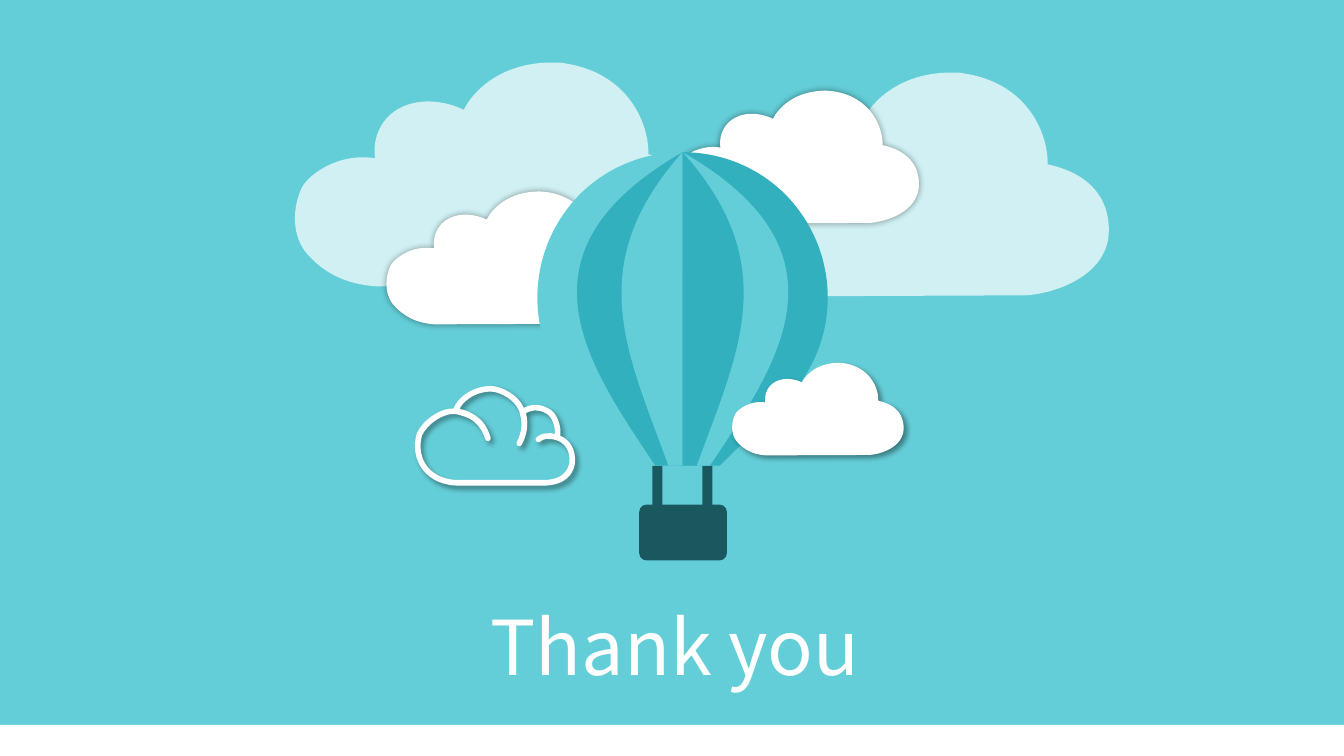
from lxml import etree
from pptx import Presentation
from pptx.dml.color import RGBColor
from pptx.enum.shapes import MSO_SHAPE
from pptx.enum.text import MSO_ANCHOR, PP_ALIGN
from pptx.oxml.ns import qn
from pptx.util import Inches, Pt

RECTANGLE = MSO_SHAPE.RECTANGLE
ROUNDED = MSO_SHAPE.ROUNDED_RECTANGLE
MIDDLE = MSO_ANCHOR.MIDDLE
CENTER = PP_ALIGN.CENTER

WIDTH, HEIGHT = 13.33, 7.5
FONT = "Noto Sans CJK KR"
COLORS = {"sky": "64CED8", "white": "FFFFFF", "stripe": "32B0BE",
          "basket": "19585F", "shadow": "000000"}

# Outlines: a start point, then lines (2 numbers) or cubic curves (6 numbers)
CLOUD_GRID = (411, 222)
CLOUD = [
    (258, 0), (262, 0, 265, 0, 269, 1), (333, 11, 352, 63, 351, 91),
    (411, 104, 414, 146, 411, 166), (403, 208, 347, 221, 327, 221),
    (81, 222), (50, 220, 28, 208, 11, 188), (-5, 167, 0, 138, 8, 123),
    (14, 112, 43, 89, 80, 95), (77, 74, 87, 54, 105, 45),
    (126, 34, 152, 39, 168, 47), (176, 30, 204, -1, 258, 0),
]
LINE_CLOUD_GRID = (153, 93)
LINE_CLOUD = [
    (43, 93), (127, 93), (150, 92, 156, 77, 153, 64),
    (149, 46, 127, 43, 120, 50), (123, 46, 133, 46, 138, 48),
    (141, 44, 138, 29, 132, 24), (126, 19, 115, 15, 104, 23),
    (107, 31, 107, 43, 101, 54), (110, 38, 110, 11, 80, 1),
    (65, -4, 42, 7, 38, 22), (50, 25, 64, 28, 70, 49),
    (66, 36, 56, 24, 38, 22), (23, 21, 7, 34, 2, 45),
    (-5, 69, 10, 94, 43, 93),
]
# Half balloon panels: width, then outline from the vertical axis outwards
PANEL_HEIGHT = 311
HALF_PANELS = [
    (144, [(0, 0), (0, 311), (37, 311), (102, 246),
           (158, 190, 158, 99, 102, 42), (74, 14, 37, 0, 0, 0)]),
    (105, [(0, 0), (0, 311), (27, 311), (96, 208, 172, 99, 0, 0)]),
    (61, [(0, 0), (0, 311), (14, 311), (54, 200, 101, 113, 0, 0)]),
]


def color(name):
    return RGBColor.from_string(COLORS[name])


def paint(shape, fill=None, opacity=100, line=None, shadow=None):
    """Set fill, line and shadow; shadow is (blur, distance, angle)."""
    if fill:
        shape.fill.solid()
        shape.fill.fore_color.rgb = color(fill)
        if opacity < 100:
            tone = shape._element.spPr.find(qn("a:solidFill"))[0]
            etree.SubElement(tone, qn("a:alpha"), val=str(opacity * 1000))
    else:
        shape.fill.background()
    if line:
        shape.line.color.rgb = color("white")
        shape.line.width = Pt(line)
    else:
        shape.line.fill.background()
    shape.shadow.inherit = False
    if shadow:
        blur, distance, angle = shadow
        effects = shape._element.spPr.find(qn("a:effectLst"))
        outer = etree.SubElement(
            effects, qn("a:outerShdw"), blurRad=str(Pt(blur)), dist=str(Pt(distance)),
            dir=str(angle * 60000), algn="ctr", rotWithShape="0")
        tone = etree.SubElement(outer, qn("a:srgbClr"), val=COLORS["shadow"])
        etree.SubElement(tone, qn("a:alpha"), val="40000")


def add_outline(page, box, grid, steps, mirrored=False, **style):
    """Fit an outline with true curves into a box."""
    left, top, width, height = map(Inches, box)
    builder = page.shapes.build_freeform(0, 0)
    builder.add_line_segments([(width, 0), (width, height)])
    shape = builder.convert_to_shape()
    shape.left, shape.top, shape.width, shape.height = left, top, width, height
    outline = next(shape._element.iter(qn("a:path")))
    outline.set("w", str(grid[0]))
    outline.set("h", str(grid[1]))
    for child in list(outline):
        outline.remove(child)
    for index, step in enumerate(steps):
        tag = "a:moveTo" if index == 0 else "a:lnTo" if len(step) == 2 else "a:cubicBezTo"
        segment = etree.SubElement(outline, qn(tag))
        for x, y in zip(step[::2], step[1::2]):
            x = grid[0] - x if mirrored else x
            etree.SubElement(segment, qn("a:pt"), x=str(x), y=str(y))
    etree.SubElement(outline, qn("a:close"))
    paint(shape, **style)


def add_block(page, kind, box, fill):
    shape = page.shapes.add_shape(kind, *map(Inches, box))
    paint(shape, fill)
    return shape


def add_cloud(page, left, top, width, **style):
    box = (left, top, width, width * CLOUD_GRID[1] / CLOUD_GRID[0])
    add_outline(page, box, CLOUD_GRID, CLOUD, fill="white", **style)


def add_basket(page, box):
    left, top, width, height = box
    for share in (0.15, 0.72):
        add_block(page, RECTANGLE,
                  (left + width * share, top, 0.1, height * 0.58), "basket")
    body = add_block(page, ROUNDED,
                     (left, top + height * 0.41, width, height * 0.59), "basket")
    body.adjustments[0] = 0.134


def add_balloon(page, box):
    left, top, width, height = box
    axis = left + width / 2
    unit = height / PANEL_HEIGHT
    for mirrored, fills in ((True, ("sky", "stripe", "sky")),
                            (False, ("stripe", "sky", "stripe"))):
        for (columns, steps), fill in zip(HALF_PANELS, fills):
            span = columns * unit
            panel = (axis - span if mirrored else axis, top, span, height)
            add_outline(page, panel, (columns, PANEL_HEIGHT), steps, mirrored, fill=fill)


def add_text(page, box, text, size, fill):
    frame = page.shapes.add_textbox(*map(Inches, box)).text_frame
    frame.word_wrap = True
    frame.vertical_anchor = MIDDLE
    para = frame.paragraphs[0]
    para.alignment = CENTER
    para.line_spacing = 0.9
    span = para.add_run()
    span.text = text
    span.font.name = FONT
    span.font.size = Pt(size)
    span.font.color.rgb = color(fill)


def build_closing_page(page):
    page.background.fill.solid()
    page.background.fill.fore_color.rgb = color("sky")
    # Footer band
    add_block(page, RECTANGLE, (0, 7.19, WIDTH, HEIGHT - 7.19), "white")
    add_basket(page, (6.34, 4.62, 0.87, 0.94))
    # Clouds behind the balloon
    for left, top in ((2.92, 0.62), (6.88, 0.72)):
        add_cloud(page, left, top, 4.11, opacity=70)
    for left, top in ((3.83, 1.9), (6.67, 0.9)):
        add_cloud(page, left, top, 2.44, shadow=(5, 0, 0))
    add_outline(page, (4.14, 3.86, 1.53, 0.93), LINE_CLOUD_GRID, LINE_CLOUD,
                line=4, shadow=(4, 3, 45))
    add_balloon(page, (5.33, 1.51, 2.88, 3.11))
    # Cloud in front of the balloon
    add_cloud(page, 7.26, 3.6, 1.7, shadow=(4, 3, 45))
    add_text(page, (0.03, 6.14, WIDTH, 0.63), "Thank you", size=54, fill="white")


def main():
    deck = Presentation()
    deck.slide_width, deck.slide_height = Inches(WIDTH), Inches(HEIGHT)
    build_closing_page(deck.slides.add_slide(deck.slide_layouts[6]))
    deck.save("out.pptx")


if __name__ == "__main__":
    main()
